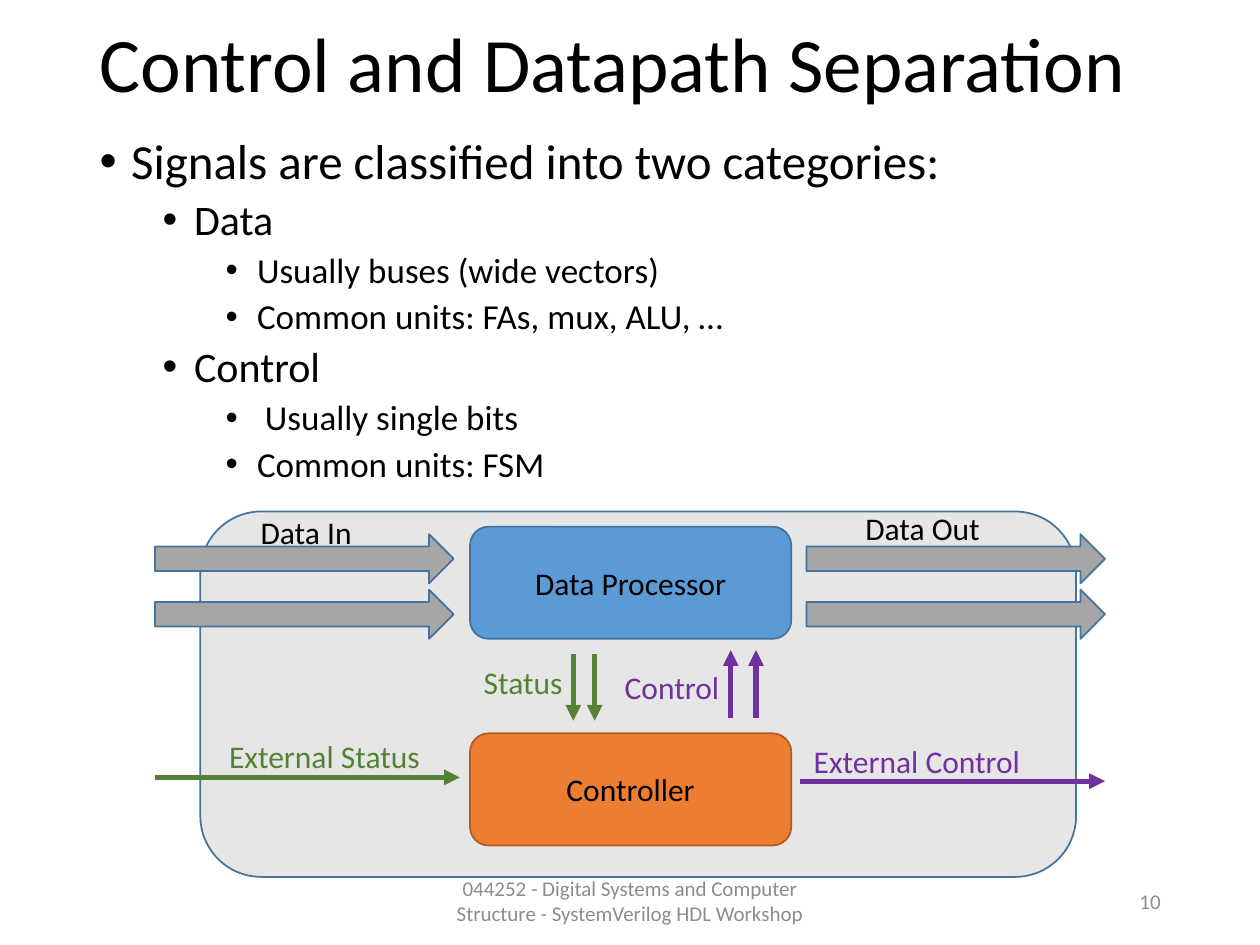
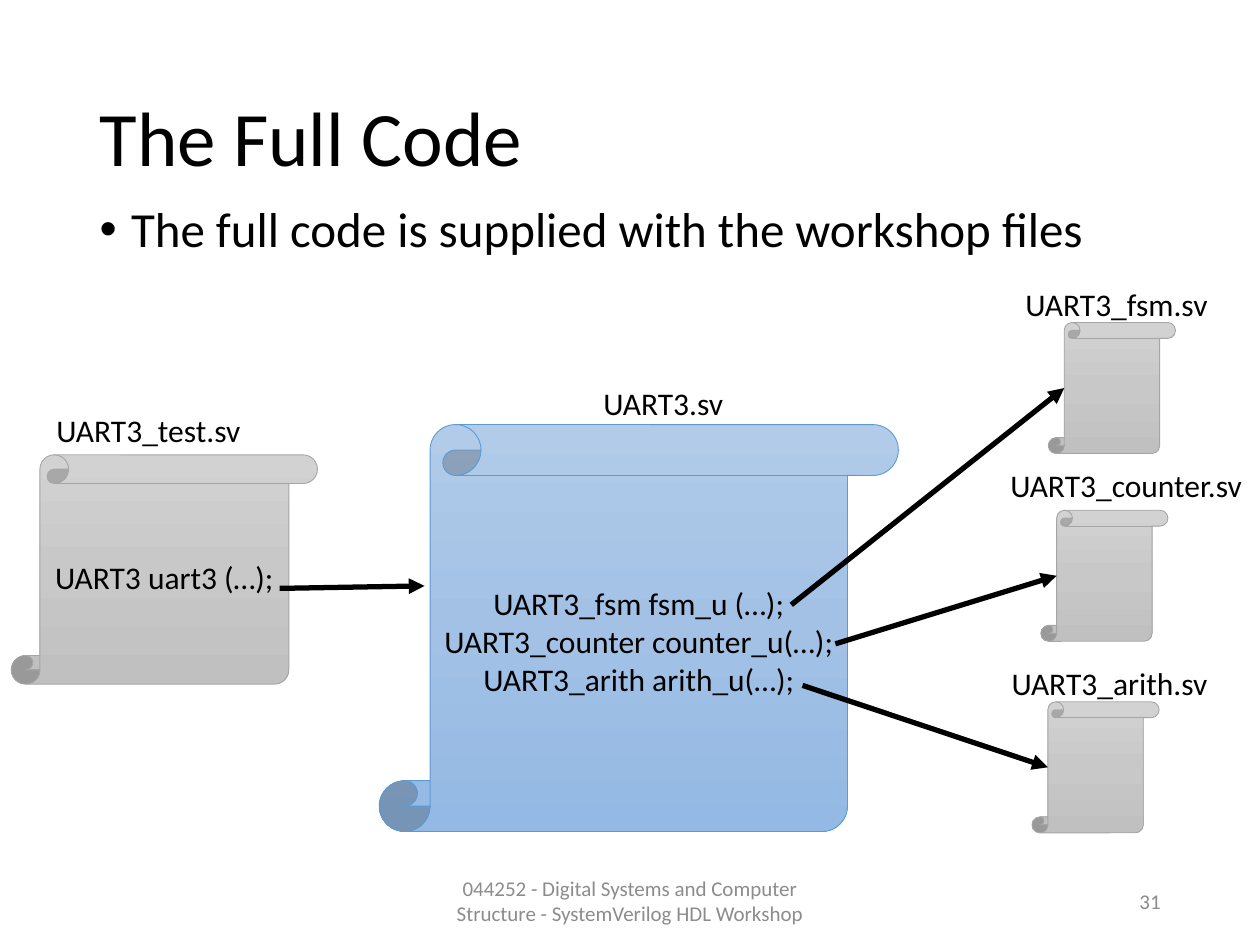
from copy import deepcopy

from lxml import etree
from pptx import Presentation
from pptx.dml.color import RGBColor
from pptx.enum.shapes import MSO_CONNECTOR, MSO_SHAPE
from pptx.enum.text import MSO_ANCHOR, MSO_AUTO_SIZE, PP_ALIGN
from pptx.oxml.ns import qn
from pptx.util import Inches, Pt

FONT = "Calibri"
COLORS = {
    "text": "000000", "footer": "8C8C8C", "system": "E7E6E6",
    "processor": "5B9BD5", "controller": "ED7D31", "bus": "A6A6A6",
    "edge": "43739E", "controller_edge": "AF5C24",
    "control": "7030A0", "status": "548235",
    "main_edge": "5B9BD5", "file_edge": "A5A5A5",
}
SCROLL_GRADIENTS = {
    "main": ("B1CBE9", "A3C1E5", "93B9E4"),
    "file": ("D2D2D2", "C8C8C8", "C0C0C0"),
}
FOOTER = "044252 - Digital Systems and Computer Structure - SystemVerilog HDL Workshop"
BULLET_SIZES = (28, 24, 20)

# Slide 1: bullets are (level, text); boxes are left, top, width, height
SEPARATION_BULLETS = [
    (0, "Signals are classified into two categories:"),
    (1, "Data"),
    (2, "Usually buses (wide vectors)"),
    (2, "Common units: FAs, mux, ALU, …"),
    (1, "Control"),
    (2, " Usually single bits"),
    (2, "Common units: FSM"),
]
BLOCKS = [
    ("", (1.59, 4.06, 6.95, 2.9), "system", "edge"),
    ("Data Processor", (3.73, 4.18, 2.55, 0.89), "processor", "edge"),
    ("Controller", (3.73, 5.82, 2.55, 0.89), "controller", "controller_edge"),
]
BUS_LEFTS = (2.22, 7.39)
BUS_TOPS = (3.25, 3.69)
SIGNAL_LABELS = [
    ("Data In", 1.97, 4.02, 0.98, "text"),
    ("Data Out", 6.77, 3.99, 1.63, "text"),
    ("Control", 4.86, 5.25, 0.96, "control"),
    ("Status", 3.74, 5.21, 0.98, "status"),
    ("External Status", 1.72, 5.8, 1.83, "status"),
    ("External Control", 6.36, 5.84, 2.04, "control"),
]
SIGNAL_ARROWS = [
    ((5.8, 5.7), (5.8, 5.16), "control"),
    ((6, 5.7), (6, 5.16), "control"),
    ((4.55, 5.19), (4.55, 5.72), "status"),
    ((4.72, 5.19), (4.72, 5.72), "status"),
    ((1.23, 6.17), (3.65, 6.17), "status"),
    ((6.35, 6.2), (8.77, 6.2), "control"),
]

# Slide 2
CODE_BULLETS = [(0, "The full code is supplied with the workshop files")]
MAIN_FILE = ("UART3_fsm fsm_u (…);\nUART3_counter counter_u(…);\n"
             "UART3_arith arith_u(…);")
MAIN_BOX = (3.01, 3.37, 4.12, 3.23)
TEST_FILE = "UART3 uart3 (…);"
TEST_BOX = (0.09, 3.61, 2.43, 1.82)
TEST_CALL = ((2.22, 4.67), (3.37, 4.65))
FILE_LABELS = [
    ("UART3.sv", 4.69, 3, 1.16),
    ("UART3_test.sv", 0.35, 3.21, 1.67),
    ("UART3_fsm.sv", 8.04, 2.21, 1.66),
    ("UART3_counter.sv", 7.92, 3.65, 2.06),
    ("UART3_arith.sv", 7.93, 5.22, 1.77),
]
# Each submodule: left and top of its scroll, start of the arrow to it
SUBMODULES = [
    (8.32, 2.56, (6.28, 4.8)),
    (8.26, 4.05, (6.63, 5.11)),
    (8.19, 5.57, (6.37, 5.44)),
]
SUBMODULE_WIDTH, SUBMODULE_HEIGHT = 1.01, 1.04


def color(name):
    return RGBColor.from_string(COLORS[name])


def inches(box):
    return [Inches(length) for length in box]


def style_text(frame, size, color_name="text", align=None):
    for paragraph in frame.paragraphs:
        paragraph.alignment = align
        for run in paragraph.runs:
            run.font.name = FONT
            run.font.size = Pt(size)
            run.font.color.rgb = color(color_name)


def place(placeholder, box):
    placeholder.left, placeholder.top, placeholder.width, placeholder.height = inches(box)
    placeholder.text_frame.auto_size = MSO_AUTO_SIZE.NONE


def add_bullets(frame, bullets):
    frame.text = "\n".join(text for _, text in bullets)
    for paragraph, (level, _) in zip(frame.paragraphs, bullets):
        paragraph.level = level
        paragraph.line_spacing = 0.9
        paragraph.space_before = Pt(5 if level else 10)
        paragraph.runs[0].font.name = FONT
        paragraph.runs[0].font.size = Pt(BULLET_SIZES[level])
        paragraph.runs[0].font.color.rgb = color("text")
        properties = paragraph._p.get_or_add_pPr()
        properties.set("marL", str(Inches(0.25 + 0.5 * level)))
        properties.set("indent", str(-Inches(0.25)))
        etree.SubElement(properties, qn("a:buFont"), typeface="Arial")
        etree.SubElement(properties, qn("a:buChar"), char="•")


def add_text(slide, text, box, size=18, color_name="text", align=None, wrap=True):
    frame = slide.shapes.add_textbox(*inches(box)).text_frame
    frame.word_wrap = wrap
    frame.text = text
    style_text(frame, size, color_name, align)
    return frame


def add_label(slide, text, left, top, width, color_name="text", wrap=True):
    frame = add_text(slide, text, (left, top, width, 0.4),
                     color_name=color_name, wrap=wrap)
    frame.auto_size = MSO_AUTO_SIZE.SHAPE_TO_FIT_TEXT


def add_page(deck, title, title_top, bullets, body_top, number):
    """Add a slide with its title, bullets, footer and page number."""
    slide = deck.slides.add_slide(deck.slide_layouts[1])
    heading, body = slide.shapes.title, slide.placeholders[1]
    place(heading, (0.69, title_top, 8.62, 1.45))
    heading.text_frame.text = title
    heading.text_frame.vertical_anchor = MSO_ANCHOR.MIDDLE
    heading.text_frame.paragraphs[0].line_spacing = 0.9
    style_text(heading.text_frame, 44, align=PP_ALIGN.LEFT)
    place(body, (0.69, body_top, 8.62, 4.76))
    add_bullets(body.text_frame, bullets)
    for text, left, width, align in ((FOOTER, 3.31, 3.38, PP_ALIGN.CENTER),
                                     (number, 7.06, 2.25, PP_ALIGN.RIGHT)):
        frame = add_text(slide, text, (left, 6.95, width, 0.4), 12, "footer", align)
        frame.vertical_anchor = MSO_ANCHOR.MIDDLE
    return slide


def add_outlined(slide, preset, box, edge, line_width=1, text=""):
    shape = slide.shapes.add_shape(preset, *inches(box))
    shape.shadow.inherit = False
    shape.line.color.rgb = color(edge)
    shape.line.width = Pt(line_width)
    if text:
        shape.text_frame.text = text
        style_text(shape.text_frame, 18, align=PP_ALIGN.CENTER)
    return shape


def add_solid(slide, preset, box, fill, edge, text=""):
    shape = add_outlined(slide, preset, box, edge, text=text)
    shape.fill.solid()
    shape.fill.fore_color.rgb = color(fill)
    return shape


def add_scroll(slide, box, kind, text=""):
    scroll = add_outlined(slide, MSO_SHAPE.VERTICAL_SCROLL, box, kind + "_edge", 0.5, text)
    scroll.fill.gradient()
    scroll.fill.gradient_angle = 270
    stops = scroll.element.spPr.find(".//" + qn("a:gsLst"))
    stops.insert(1, deepcopy(stops[0]))
    for stop, position, shade in zip(scroll.fill.gradient_stops, (0, 0.5, 1),
                                     SCROLL_GRADIENTS[kind]):
        stop.position = position
        stop.color.rgb = RGBColor.from_string(shade)


def add_arrow(slide, start, end, color_name="text"):
    arrow = slide.shapes.add_connector(MSO_CONNECTOR.STRAIGHT, *inches(start + end))
    arrow.line.color.rgb = color(color_name)
    arrow.line.width = Pt(3)
    etree.SubElement(arrow.line._get_or_add_ln(), qn("a:tailEnd"), type="triangle")
    etree.SubElement(arrow.element.spPr, qn("a:effectLst"))


def build_separation(deck):
    slide = add_page(deck, "Control and Datapath Separation", -0.19,
                     SEPARATION_BULLETS, 1.04, "10")
    for text, box, fill, edge in BLOCKS:
        add_solid(slide, MSO_SHAPE.ROUNDED_RECTANGLE, box, fill, edge, text)
    for left in BUS_LEFTS:
        for top in BUS_TOPS:
            bus = add_solid(slide, MSO_SHAPE.UP_ARROW, (left, top, 0.39, 2.37), "bus", "edge")
            bus.rotation = 90
    for start, end, color_name in SIGNAL_ARROWS:
        add_arrow(slide, start, end, color_name)
    for label in SIGNAL_LABELS:
        add_label(slide, *label)


def build_full_code(deck):
    slide = add_page(deck, "The Full Code", 0.4, CODE_BULLETS, 1.58, "31")
    add_scroll(slide, MAIN_BOX, "main", MAIN_FILE)
    add_scroll(slide, TEST_BOX, "file", TEST_FILE)
    add_arrow(slide, *TEST_CALL)
    for left, top, call in SUBMODULES:
        add_scroll(slide, (left, top, SUBMODULE_WIDTH, SUBMODULE_HEIGHT), "file")
        # The sheet's left edge lies one eighth inside the scroll's box
        add_arrow(slide, call, (left + SUBMODULE_WIDTH / 8, top + SUBMODULE_HEIGHT / 2))
    for label in FILE_LABELS:
        add_label(slide, *label, wrap=False)


def main():
    deck = Presentation()
    deck.slide_width, deck.slide_height = Inches(10), Inches(7.5)
    build_separation(deck)
    build_full_code(deck)
    deck.save("out.pptx")


if __name__ == "__main__":
    main()
